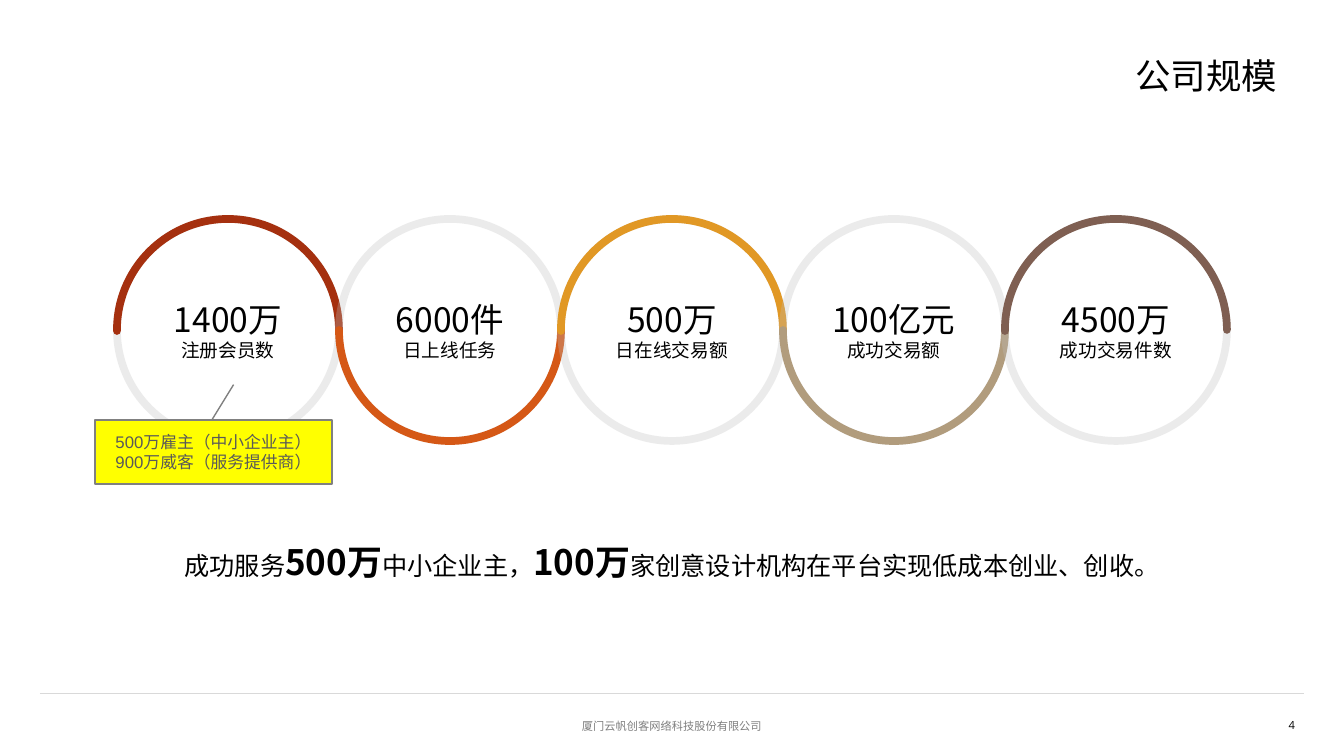
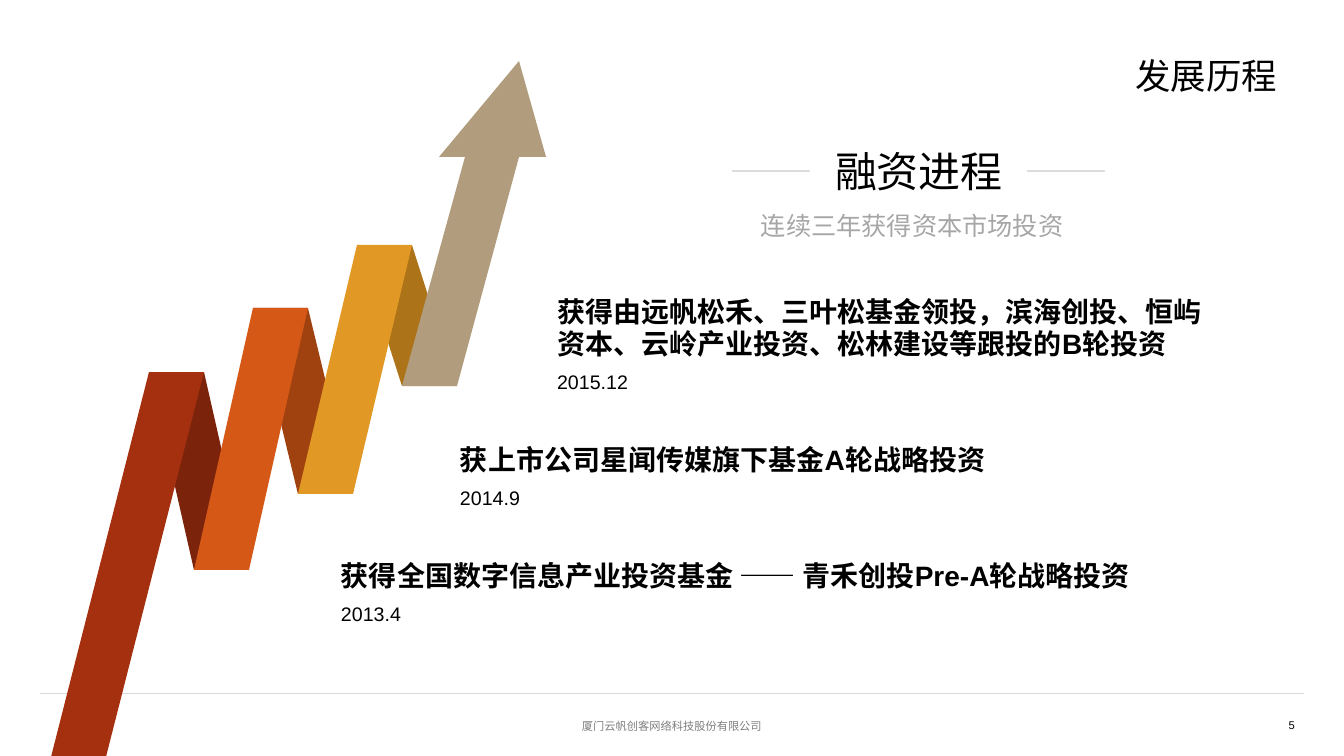
import pptx
import pptx.util
import pptx.dml.color
import pptx.enum.shapes
import pptx.enum.text
import pptx.oxml.ns
import lxml.etree

RGB = pptx.dml.color.RGBColor
Pt = pptx.util.Pt
SHAPE = pptx.enum.shapes.MSO_SHAPE
ALIGN = pptx.enum.text.PP_ALIGN
ANCHOR = pptx.enum.text.MSO_ANCHOR
qn = pptx.oxml.ns.qn

PX = 12192000 / 1344
SLIDE_WIDTH, SLIDE_HEIGHT = 1344, 756
CJK, LATIN, NUMERAL = "Noto Sans CJK SC", "Arial", "Open Sans"

BLACK = RGB(0x00, 0x00, 0x00)
FOOTER_GREY = RGB(0x7F, 0x7F, 0x7F)
RULE_GREY = RGB(0xD9, 0xD9, 0xD9)
RING_GREY = RGB(0xBF, 0xBF, 0xBF)
SUBTITLE_GREY = RGB(0xA6, 0xA6, 0xA6)
NOTE_GREY = RGB(0x59, 0x59, 0x59)
NOTE_EDGE = RGB(0x80, 0x80, 0x80)
YELLOW = RGB(0xFF, 0xFF, 0x00)
RED = RGB(0xA5, 0x30, 0x0F)
ORANGE = RGB(0xD5, 0x58, 0x16)
AMBER = RGB(0xE1, 0x98, 0x25)
TAN = RGB(0xB1, 0x9C, 0x7D)
BROWN = RGB(0x7F, 0x5F, 0x52)
DARK_RED = RGB(0x7C, 0x24, 0x0B)
DARK_ORANGE = RGB(0xA0, 0x42, 0x10)
DARK_AMBER = RGB(0xAD, 0x73, 0x18)

COMPANY = "厦门云帆创客网络科技股份有限公司"
TITLE_BOX = (440, 46, 854, 59)
FOOTER_BOX = (0, 709, SLIDE_WIDTH, 34)
NUMBER_BOX = (1124, 708, 181, 35)
RULE_LEFT, RULE_RIGHT, RULE_TOP = 40, 1304, 693


def emu(*pixels):
    return [round(value * PX) for value in pixels]


def assign(target, values):
    for key, value in values.items():
        setattr(target, key, value)


def add_run(paragraph, text, size, color, font=CJK, bold=False, spacing=None):
    run = paragraph.add_run()
    run.text = text
    assign(run.font, {"size": Pt(size), "bold": bold, "name": font})
    run.font.color.rgb = color
    properties = run.font._element
    lxml.etree.SubElement(properties, qn("a:ea")).set("typeface", CJK)
    if spacing:
        properties.set("spc", str(spacing))


def write(frame, paragraphs, inset=(10, 5), align=ALIGN.LEFT,
          anchor=ANCHOR.TOP, wrap=True, paragraph_format=None):
    side, edge = emu(*inset)
    assign(frame, {
        "margin_left": side, "margin_right": side,
        "margin_top": edge, "margin_bottom": edge,
        "word_wrap": wrap, "vertical_anchor": anchor,
        "auto_size": pptx.enum.text.MSO_AUTO_SIZE.NONE,
    })
    for index, runs in enumerate(paragraphs):
        paragraph = frame.add_paragraph() if index else frame.paragraphs[0]
        assign(paragraph, {"alignment": align, **(paragraph_format or {})})
        for run in runs:
            add_run(paragraph, **run)


def add_text(slide, box, paragraphs, **options):
    label = slide.shapes.add_textbox(*emu(*box))
    write(label.text_frame, paragraphs, **options)


def style(shape, fill=None, line=None, width=1):
    shape.shadow.inherit = False
    if fill is None:
        shape.fill.background()
    else:
        shape.fill.solid()
        shape.fill.fore_color.rgb = fill
    if line is None:
        shape.line.fill.background()
    else:
        shape.line.color.rgb = line
        shape.line.width = Pt(width)


def add_frame(deck, title, number, number_font):
    slide = deck.slides.add_slide(deck.slide_layouts[5])
    heading = slide.shapes.title
    assign(heading, dict(zip(("left", "top", "width", "height"), emu(*TITLE_BOX))))
    write(heading.text_frame, [[dict(text=title, size=25.3, color=BLACK)]],
          inset=(17, 9), align=ALIGN.RIGHT, anchor=ANCHOR.MIDDLE)
    add_text(slide, FOOTER_BOX, [[dict(text=COMPANY, size=8, color=FOOTER_GREY)]],
             inset=(20, 10), align=ALIGN.CENTER, anchor=ANCHOR.MIDDLE)
    rule = slide.shapes.add_connector(
        pptx.enum.shapes.MSO_CONNECTOR.STRAIGHT,
        *emu(RULE_LEFT, RULE_TOP, RULE_RIGHT, RULE_TOP))
    rule.line.color.rgb = RULE_GREY
    rule.line.width = Pt(0.25)
    lxml.etree.SubElement(rule._element.spPr, qn("a:effectLst"))
    add_text(slide, NUMBER_BOX,
             [[dict(text=str(number), size=8, color=BLACK, font=number_font)]],
             align=ALIGN.RIGHT, anchor=ANCHOR.MIDDLE)
    return slide


def add_ring(slide, box, figure, caption, color, flipped):
    ring = slide.shapes.add_shape(SHAPE.OVAL, *emu(*box))
    style(ring, line=RING_GREY, width=5.5)
    tint = ring.line._ln.find(".//" + qn("a:srgbClr"))
    lxml.etree.SubElement(tint, qn("a:alpha")).set("val", "30000")
    write(ring.text_frame, [[dict(text=figure, size=24, color=BLACK)],
                            [dict(text=caption, size=13.3, color=BLACK)]],
          inset=(13, 7), align=ALIGN.CENTER, anchor=ANCHOR.MIDDLE)
    arc = slide.shapes.add_shape(SHAPE.ARC, *emu(*box))
    style(arc, line=color, width=5.5)
    arc.line._ln.set("cap", "rnd")
    arc.adjustments[0] = 107.662
    arc.adjustments[1] = 0
    arc.rotation = 180 if flipped else 0


def add_ring_chain(slide, box, figures):
    left, top, width, height = box
    step = width / len(figures)
    for index, (figure, caption, color) in enumerate(figures):
        add_ring(slide, (left + index * step, top, step, height),
                 figure, caption, color, index % 2 == 1)


def add_member_note(slide, box, lines):
    note = slide.shapes.add_shape(SHAPE.LINE_CALLOUT_1, *emu(*box))
    style(note, fill=YELLOW, line=NOTE_EDGE)
    for index, value in enumerate((0.007, 0.492, -0.553, 0.585)):
        note.adjustments[index] = value
    write(note.text_frame,
          [[dict(text=line, size=12, color=NOTE_GREY, font=LATIN)] for line in lines],
          align=ALIGN.CENTER, anchor=ANCHOR.MIDDLE, wrap=False)


def add_summary(slide, box, phrases):
    runs = [dict(text=text, size=25 if strong else 18, color=BLACK, bold=strong)
            for text, strong in phrases]
    add_text(slide, box, [runs], align=ALIGN.CENTER,
             paragraph_format={"space_after": Pt(8)})


def add_outline(slide, origin, points, color):
    left, top = origin
    corners = [(left + x, top + y) for x, y in points]
    builder = slide.shapes.build_freeform(*corners[0], scale=PX)
    builder.add_line_segments(corners[1:], close=True)
    style(builder.convert_to_shape(), fill=color)


def add_folded_arrow(slide, origin):
    band = 55
    ridges = [(98, 311), (202, 247), (306, 184)]
    feet = [(0, 696), (143, 509), (247, 433), (351, 325)]
    sides = zip(ridges, feet[1:], (DARK_RED, DARK_ORANGE, DARK_AMBER))
    fronts = zip(ridges, feet, (RED, ORANGE, AMBER))
    for (ridge_x, ridge_y), (foot_x, foot_y), color in [*sides, *fronts]:
        add_outline(slide, origin, [
            (ridge_x, ridge_y), (ridge_x + band, ridge_y),
            (foot_x + band, foot_y), (foot_x, foot_y)], color)
    foot_x, foot_y = feet[-1]
    add_outline(slide, origin, [
        (495, 96), (468, 0), (388, 96), (414, 96),
        (foot_x, foot_y), (foot_x + band, foot_y), (468, 96)], TAN)


def add_funding_heading(slide, box, heading, subtitle):
    left, top, width, height = box
    dash = dict(text="——", size=30, color=RULE_GREY, font=LATIN)
    gap = dict(text=" ", size=30, color=BLACK, font=LATIN, spacing=830)
    name = dict(text=heading, size=30, color=BLACK, font=LATIN)
    add_text(slide, (left, top, width, 61), [[dash, gap, name, gap, dash]],
             align=ALIGN.CENTER)
    add_text(slide, (left + 257, top + 64, 332, height - 64),
             [[dict(text=subtitle, size=18, color=SUBTITLE_GREY, font=LATIN)]])


def add_round(slide, box, event, date):
    add_text(slide, box,
             [[dict(text=event, size=20, color=BLACK, font=LATIN, bold=True)],
              [dict(text=date, size=14, color=BLACK, font=LATIN)]],
             paragraph_format={"line_spacing": 0.95, "space_before": Pt(4),
                               "space_after": Pt(4)})


def build_scale_slide(deck):
    slide = add_frame(deck, "公司规模", 4, NUMERAL)
    add_summary(slide, (0, 536, SLIDE_WIDTH, 52), [
        ("成功服务", False), ("500万", True), ("中小企业主，", False), ("100万", True),
        ("家创意设计机构在平台实现低成本创业、创收。", False)])
    add_ring_chain(slide, (117, 219, 1110, 222), [
        ("1400万", "注册会员数", RED),
        ("6000件", "日上线任务", ORANGE),
        ("500万", "日在线交易额", AMBER),
        ("100亿元", "成功交易额", TAN),
        ("4500万", "成功交易件数", BROWN)])
    add_member_note(slide, (95, 420, 237, 64),
                    ["500万雇主（中小企业主）", "900万威客（服务提供商）"])


def build_history_slide(deck):
    slide = add_frame(deck, "发展历程", 5, LATIN)
    add_folded_arrow(slide, (51, 61))
    add_funding_heading(slide, (494, 141, 850, 104),
                        "融资进程", "连续三年获得资本市场投资")
    rounds = [
        ((547, 292, 672, 109),
         "获得由远帆松禾、三叶松基金领投，滨海创投、恒屿资本、"
         "云岭产业投资、松林建设等跟投的B轮投资", "2015.12"),
        ((450, 440, 628, 77), "获上市公司星闻传媒旗下基金A轮战略投资", "2014.9"),
        ((331, 556, 828, 77),
         "获得全国数字信息产业投资基金 —— 青禾创投Pre-A轮战略投资", "2013.4"),
    ]
    for box, event, date in rounds:
        add_round(slide, box, event, date)


deck = pptx.Presentation()
assign(deck, dict(zip(("slide_width", "slide_height"), emu(SLIDE_WIDTH, SLIDE_HEIGHT))))
build_scale_slide(deck)
build_history_slide(deck)
deck.save("out.pptx")
